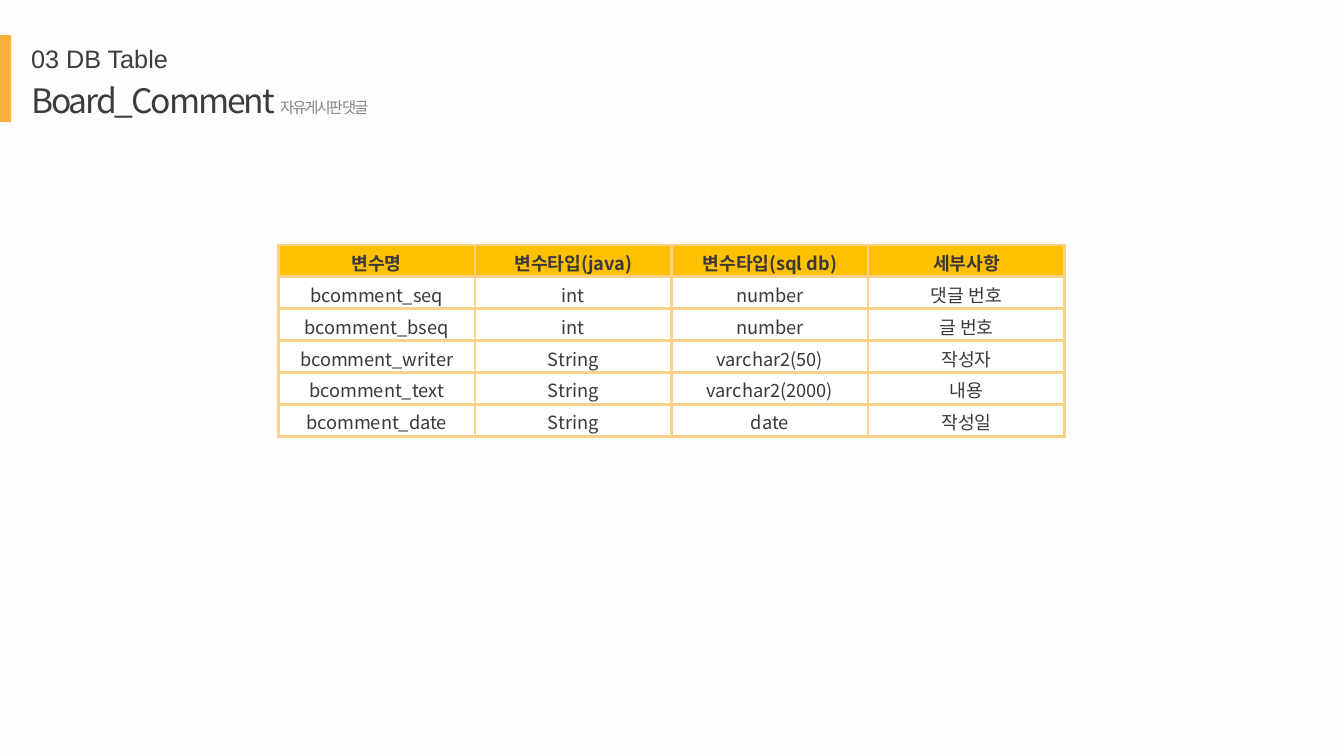
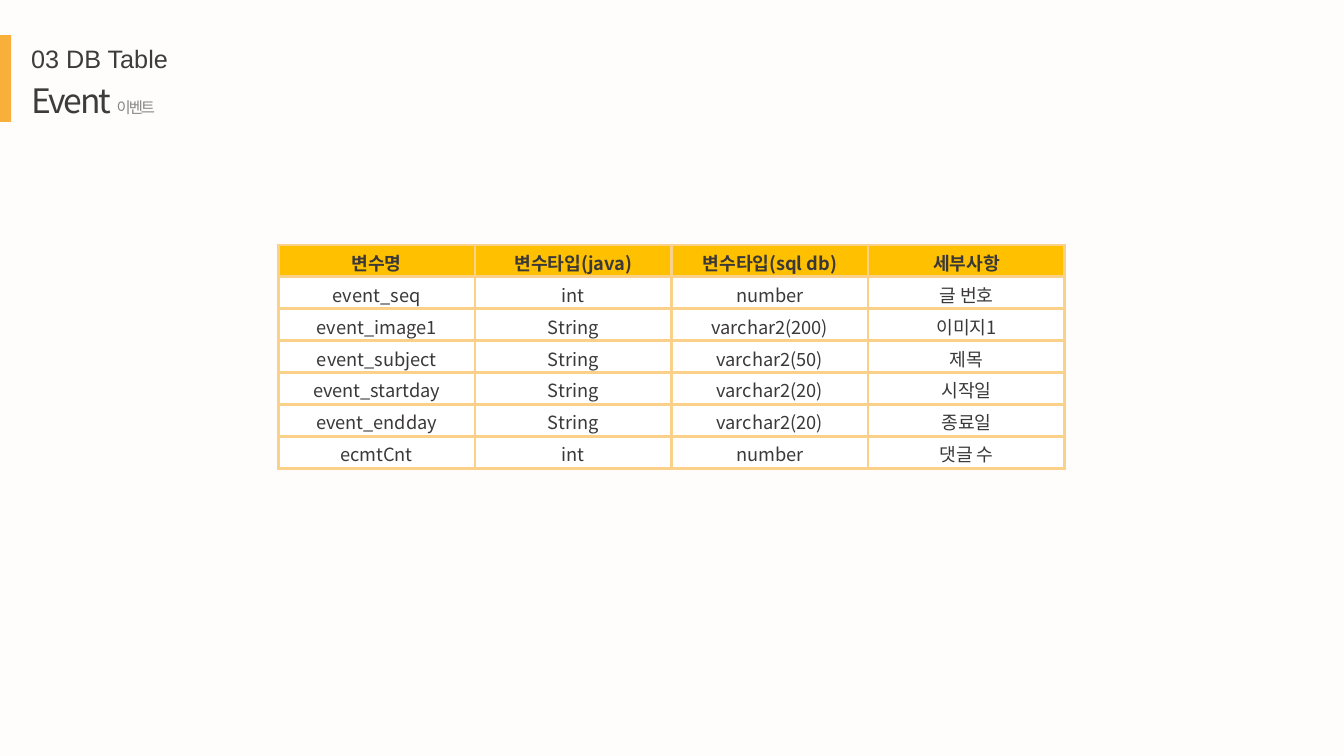
from pptx import Presentation
from pptx.dml.color import RGBColor
from pptx.enum.shapes import MSO_SHAPE
from pptx.enum.text import MSO_ANCHOR, MSO_AUTO_SIZE, PP_ALIGN
from pptx.oxml.ns import qn
from pptx.util import Inches, Pt
from lxml.etree import SubElement

COLORS = {
    "background": "FEFDFC",
    "band": "F8B03A",
    "title": "3C3C3C",
    "subtitle": "868686",
    "cell_text": "3A3838",
    "header_fill": "FFC000",
    "cell_fill": "FFFFFF",
    "border": "FBD089",
}
SANS = "Noto Sans CJK KR"
SECTION = "03 DB Table"
HEADER = ("변수명", "변수타입(java)", "변수타입(sql db)", "세부사항")
COL_W = Inches(1.95)
ROW_H = Inches(1.9 / 6)

COMMENT_ROWS = [
    ("bcomment_seq", "int", "number", "댓글 번호"),
    ("bcomment_bseq", "int", "number", "글 번호"),
    ("bcomment_writer", "String", "varchar2(50)", "작성자"),
    ("bcomment_text", "String", "varchar2(2000)", "내용"),
    ("bcomment_date", "String", "date", "작성일"),
]
EVENT_ROWS = [
    ("event_seq", "int", "number", "글 번호"),
    ("event_image1", "String", "varchar2(200)", "이미지1"),
    ("event_subject", "String", "varchar2(50)", "제목"),
    ("event_startday", "String", "varchar2(20)", "시작일"),
    ("event_endday", "String", "varchar2(20)", "종료일"),
    ("ecmtCnt", "int", "number", "댓글 수"),
]


def rgb(name):
    return RGBColor.from_string(COLORS[name])


def add_text(p, text, size, color, font=SANS, bold=False, spacing=None):
    r = p.add_run()
    r.text = text
    r.font.name = font
    r.font.size = Pt(size)
    r.font.bold = bold
    r.font.color.rgb = rgb(color)
    # East Asian font and letter spacing
    rPr = r.font._element
    SubElement(rPr, qn("a:ea")).set("typeface", font)
    if spacing is not None:
        rPr.set("spc", str(int(spacing * 100)))


def add_box(s, top, width, height, wrap):
    sp = s.shapes.add_textbox(Inches(0.21), Inches(top), Inches(width), Inches(height))
    tf = sp.text_frame
    tf.word_wrap = wrap
    tf.auto_size = MSO_AUTO_SIZE.SHAPE_TO_FIT_TEXT
    return tf.paragraphs[0]


def add_heading(s, title, subtitle, width):
    # Side band
    sp = s.shapes.add_shape(MSO_SHAPE.RECTANGLE, 0, Inches(0.35), Inches(0.11), Inches(0.86))
    sp.shadow.inherit = False
    sp.fill.solid()
    sp.fill.fore_color.rgb = rgb("band")
    sp.line.fill.background()

    # Table name with its Korean description
    p = add_box(s, 0.74, width, 0.5, wrap=True)
    add_text(p, title + " ", 24, "title", spacing=-1.5)
    add_text(p, subtitle, 11, "subtitle", spacing=-1.5)

    # Section name
    p = add_box(s, 0.38, 1.57, 0.4, wrap=False)
    add_text(p, SECTION, 18, "title", font="Arial")


def set_borders(cell):
    tcPr = cell._tc.get_or_add_tcPr()
    for side in ("lnL", "lnR", "lnT", "lnB"):
        ln = SubElement(tcPr, qn(f"a:{side}"), w=str(Pt(2.25)))
        fill = SubElement(ln, qn("a:solidFill"))
        SubElement(fill, qn("a:srgbClr"), val=COLORS["border"])


def add_table(s, rows):
    rows = [HEADER, *rows]
    table = s.shapes.add_table(
        len(rows), len(HEADER), Inches(2.76), Inches(2.43),
        COL_W * len(HEADER), ROW_H * len(rows),
    ).table
    table.horz_banding = False
    for col in table.columns:
        col.width = COL_W
    for i, values in enumerate(rows):
        table.rows[i].height = ROW_H
        for j, text in enumerate(values):
            cell = table.cell(i, j)
            cell.margin_top = Inches(0.03)
            cell.margin_bottom = 0
            cell.vertical_anchor = MSO_ANCHOR.MIDDLE
            set_borders(cell)
            cell.fill.solid()
            cell.fill.fore_color.rgb = rgb("cell_fill" if i else "header_fill")
            p = cell.text_frame.paragraphs[0]
            p.alignment = PP_ALIGN.CENTER
            add_text(p, text, 13, "cell_text", bold=i == 0)


def add_table_slide(prs, title, subtitle, title_width, rows):
    s = prs.slides.add_slide(prs.slide_layouts[6])
    s.background.fill.solid()
    s.background.fill.fore_color.rgb = rgb("background")
    add_heading(s, title, subtitle, title_width)
    add_table(s, rows)


def main():
    prs = Presentation()
    prs.slide_width = Inches(13.33)
    prs.slide_height = Inches(7.5)
    add_table_slide(prs, "Board_Comment", "자유게시판 댓글", 3.62, COMMENT_ROWS)
    add_table_slide(prs, "Event", "이벤트", 1.51, EVENT_ROWS)
    prs.save("out.pptx")


if __name__ == "__main__":
    main()
